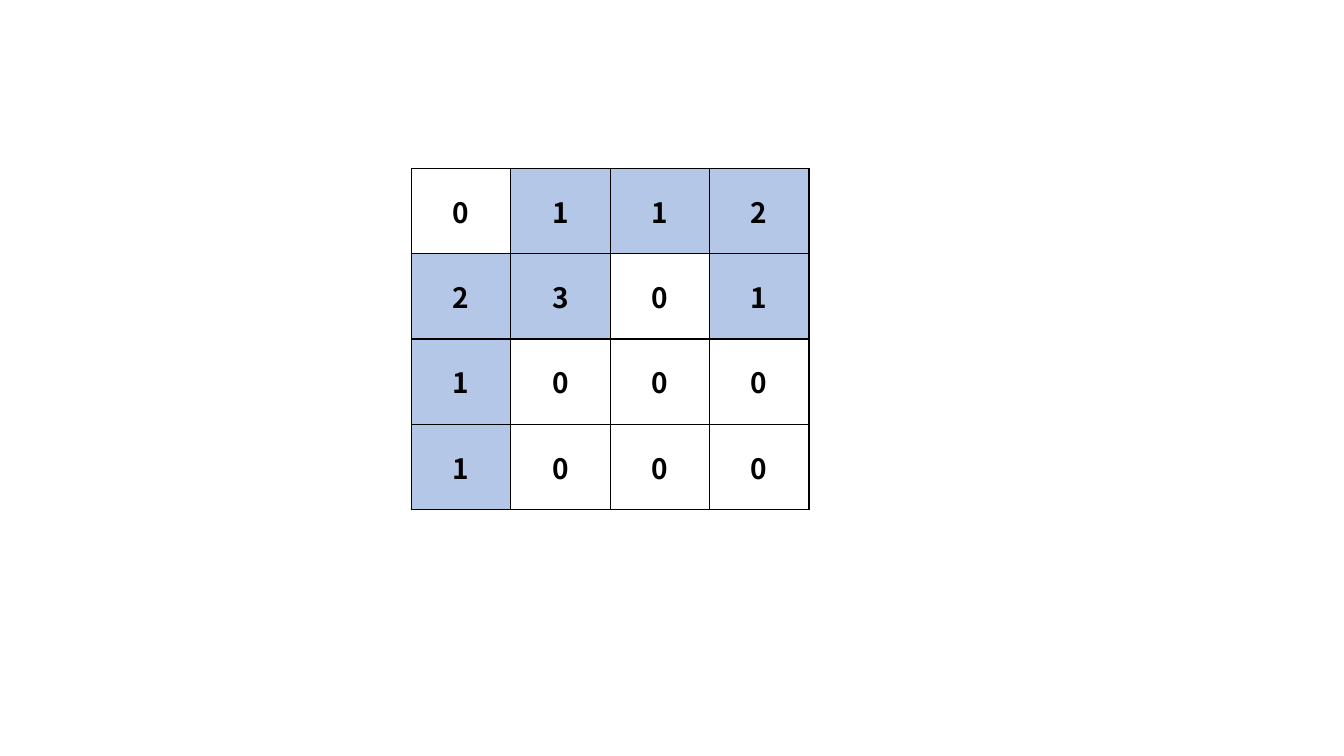
"""Build a slide with a four by four number grid whose nonzero cells are shaded."""
from lxml.etree import SubElement
from pptx import Presentation
from pptx.dml.color import RGBColor
from pptx.enum.text import MSO_ANCHOR, PP_ALIGN
from pptx.oxml.ns import qn
from pptx.util import Pt

GRID = [
    [0, 1, 1, 2],
    [2, 3, 0, 1],
    [1, 0, 0, 0],
    [1, 0, 0, 0],
]
COLORS = {"ink": "000000", "shaded": "B4C7E7"}
FONT = "Noto Sans CJK KR"
LEFT, TOP = 293.9, 120.2
CELL_WIDTH, CELL_HEIGHT = 71, 61
BORDER_WIDTH = 1


def add_borders(cell):
    """Draw a solid line on all four sides of a cell."""
    properties = cell._tc.get_or_add_tcPr()
    for position, side in enumerate(("a:lnL", "a:lnR", "a:lnT", "a:lnB")):
        line = SubElement(properties, qn(side), w=str(Pt(BORDER_WIDTH)))
        fill = SubElement(line, qn("a:solidFill"))
        SubElement(fill, qn("a:srgbClr"), val=COLORS["ink"])
        properties.insert(position, line)


def fill_cell(cell, value):
    """Write a value into a cell and format it."""
    cell.margin_left = cell.margin_right = Pt(3.6)
    cell.margin_top = cell.margin_bottom = Pt(1.5)
    cell.vertical_anchor = MSO_ANCHOR.MIDDLE
    if value:
        cell.fill.solid()
        cell.fill.fore_color.rgb = RGBColor.from_string(COLORS["shaded"])
    else:
        cell.fill.background()
    add_borders(cell)
    cell.text_frame.text = str(value)
    paragraph = cell.text_frame.paragraphs[0]
    paragraph.alignment = PP_ALIGN.CENTER
    font = paragraph.runs[0].font
    font.name, font.size, font.bold = FONT, Pt(20), True
    font.color.rgb = RGBColor.from_string(COLORS["ink"])


def main():
    """Create and save the presentation."""
    presentation = Presentation()
    presentation.slide_width, presentation.slide_height = Pt(960), Pt(540)
    slide = presentation.slides.add_slide(presentation.slide_layouts[6])
    rows, columns = len(GRID), len(GRID[0])
    table = slide.shapes.add_table(
        rows, columns, Pt(LEFT), Pt(TOP),
        Pt(columns * CELL_WIDTH), Pt(rows * CELL_HEIGHT),
    ).table
    table.first_row = table.horz_banding = False
    for column in table.columns:
        column.width = Pt(CELL_WIDTH)
    for row, values in zip(table.rows, GRID):
        row.height = Pt(CELL_HEIGHT)
        for cell, value in zip(row.cells, values):
            fill_cell(cell, value)
    presentation.save("out.pptx")


if __name__ == "__main__":
    main()
